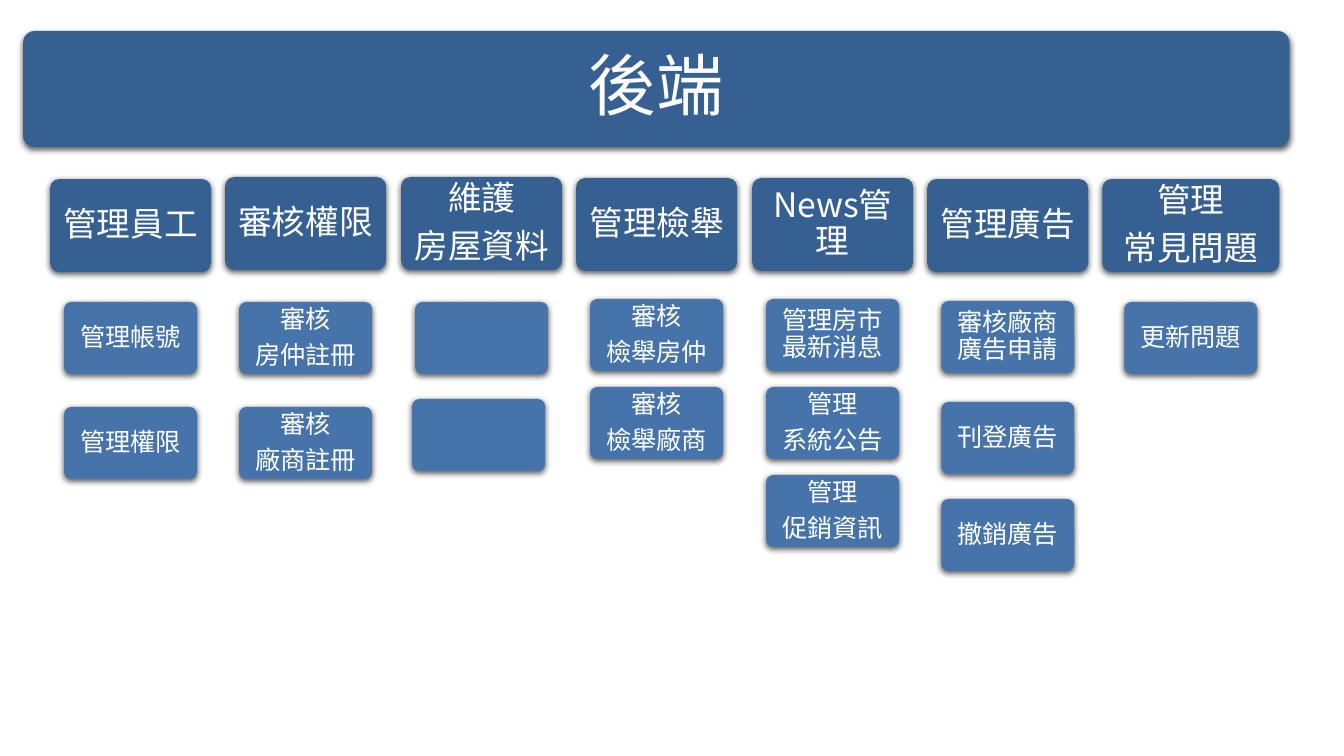
from pptx import Presentation
from pptx.dml.color import RGBColor
from pptx.enum.shapes import MSO_SHAPE
from pptx.enum.text import MSO_ANCHOR, MSO_AUTO_SIZE, PP_ALIGN
from pptx.oxml import parse_xml
from pptx.oxml.ns import nsdecls
from pptx.util import Inches, Pt

FONT = "Noto Sans CJK SC"
DARK, LIGHT, WHITE = "366092", "4674AA", "FFFFFF"
BANNER = (23, 31, 1266, 116)
FIRST_LEFT, PITCH = 50, 175.4
HEAD_W, LAST_HEAD_W, HEAD_H = 161, 177, 93
ITEM_W, ITEM_H = 133, 72
BANNER_INSET, HEAD_INSET, ITEM_INSET = 24, 9, 8
COLUMNS = [
    ("管理員工", 179, [("管理帳號", 302, 0), ("管理權限", 407, 0)]),
    ("審核權限", 177, [("審核\n房仲註冊", 302, 0), ("審核\n廠商註冊", 407, 0)]),
    ("維護\n房屋資料", 177, [("", 302, 0), ("", 399, -3)]),
    ("管理檢舉", 178, [("審核\n檢舉房仲", 299, 0), ("審核\n檢舉廠商", 387, 0)]),
    ("News管理", 178, [("管理房市最新消息", 299, 0), ("管理\n系統公告", 387, 0),
                     ("管理\n促銷資訊", 475, 0)]),
    ("管理廣告", 179, [("審核廠商廣告申請", 301, 0), ("刊登廣告", 402, 0),
                   ("撤銷廣告", 499, 0)]),
    ("管理\n常見問題", 179, [("更新問題", 302, 0)]),
]


def px(n):
    return Inches(n / 100.8)


def color(value):
    return RGBColor.from_string(value)


def add_shadow(sp):
    sp._element.spPr.append(parse_xml(
        f'<a:effectLst {nsdecls("a")}><a:outerShdw blurRad="57150" dist="19050" '
        'dir="5400000" algn="ctr" rotWithShape="0"><a:srgbClr val="000000">'
        '<a:alpha val="63000"/></a:srgbClr></a:outerShdw></a:effectLst>'))


def add_box(slide, left, top, width, height, fill):
    sp = slide.shapes.add_shape(MSO_SHAPE.ROUNDED_RECTANGLE,
                                px(left), px(top), px(width), px(height))
    sp.adjustments[0] = 0.1
    sp.fill.solid()
    sp.fill.fore_color.rgb = color(fill)
    sp.line.fill.background()
    add_shadow(sp)
    return sp


def set_text(sp, text, size, inset):
    tf = sp.text_frame
    tf.text = text
    tf.word_wrap = True
    tf.auto_size = MSO_AUTO_SIZE.NONE
    tf.vertical_anchor = MSO_ANCHOR.MIDDLE
    tf.margin_left = tf.margin_right = px(inset)
    tf.margin_top = tf.margin_bottom = px(inset)
    for p in tf.paragraphs:
        p.alignment = PP_ALIGN.CENTER
        p.line_spacing = 0.9
        p.space_before = Pt(0)
        p.space_after = Pt(size * 0.35)
        for r in p.runs:
            r.font.size = Pt(size)
            r.font.name = FONT
            r.font.color.rgb = color(WHITE)
            r.font._element.append(
                parse_xml(f'<a:ea {nsdecls("a")} typeface="{FONT}"/>'))


def add_title(slide):
    add_box(slide, *BANNER, DARK)
    title = slide.shapes.title
    title.left, title.top, title.width, title.height = map(px, BANNER)
    set_text(title, "後端", 48, BANNER_INSET)
    slide.shapes._spTree.append(title._element)


def add_column(slide, left, width, heading, top, items):
    head = add_box(slide, left, top, width, HEAD_H, DARK)
    set_text(head, heading, 24, HEAD_INSET)
    item_left = left + (width - ITEM_W) // 2
    for text, item_top, shift in items:
        sp = add_box(slide, item_left + shift, item_top, ITEM_W, ITEM_H, LIGHT)
        if text:
            set_text(sp, text, 18, ITEM_INSET)


def main():
    prs = Presentation()
    prs.slide_width, prs.slide_height = Inches(13.33), Inches(7.5)
    slide = prs.slides.add_slide(prs.slide_layouts[5])
    add_title(slide)
    for i, (heading, top, items) in enumerate(COLUMNS):
        width = LAST_HEAD_W if i == len(COLUMNS) - 1 else HEAD_W
        add_column(slide, round(FIRST_LEFT + i * PITCH), width, heading, top, items)
    prs.save("out.pptx")


main()
